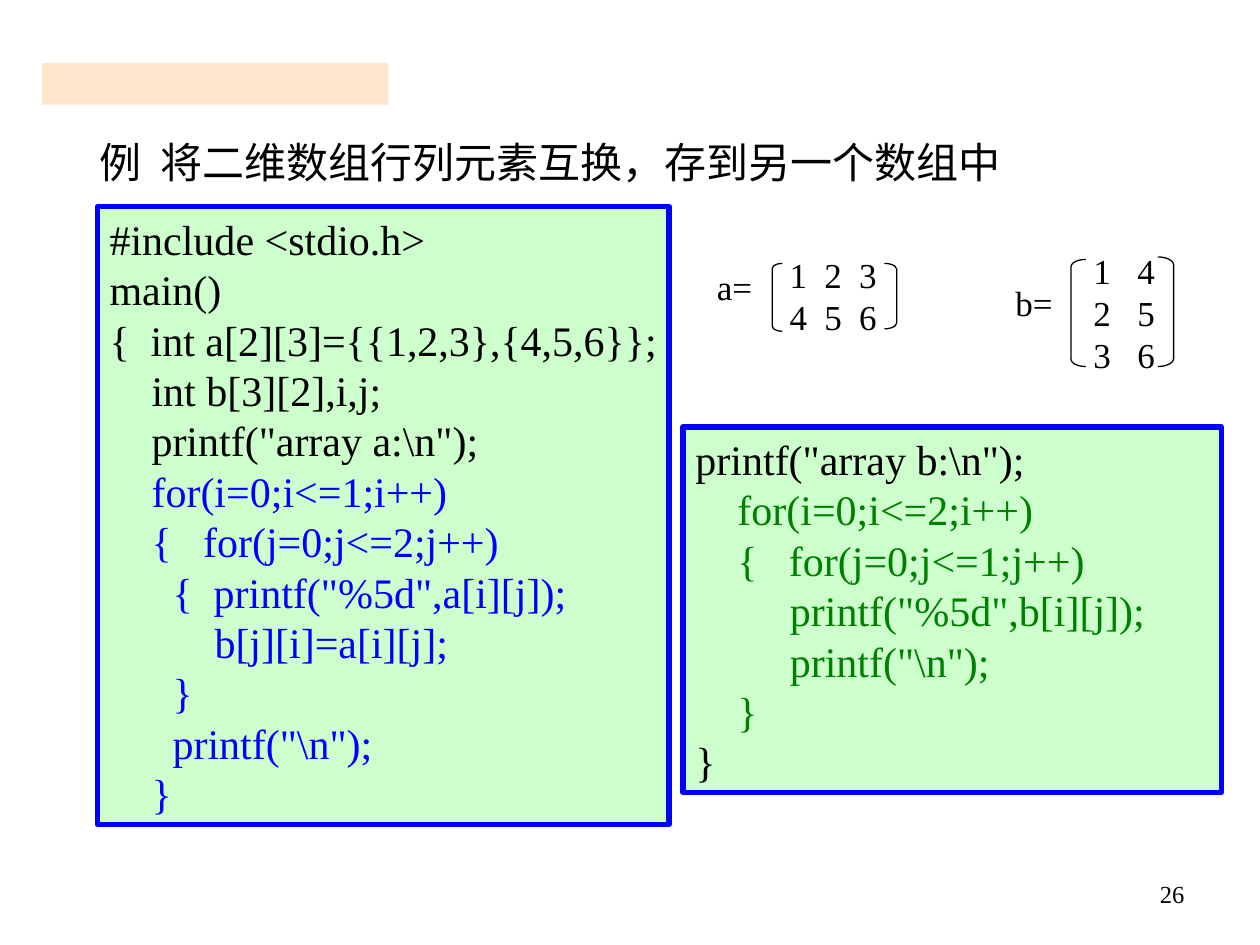
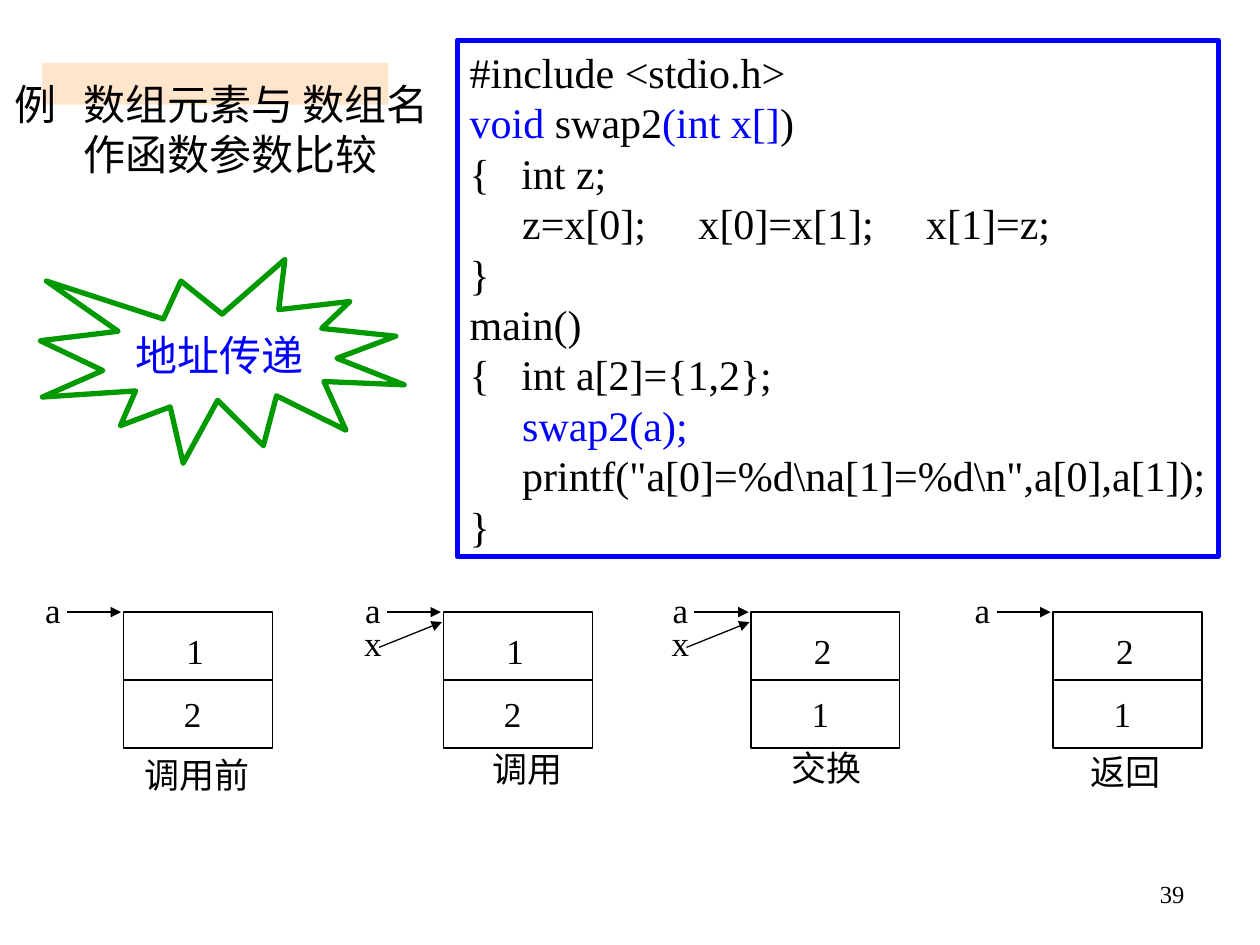
from lxml.etree import SubElement
from pptx import Presentation
from pptx.dml.color import RGBColor
from pptx.enum.shapes import MSO_CONNECTOR, MSO_SHAPE
from pptx.enum.text import MSO_ANCHOR, MSO_AUTO_SIZE, PP_ALIGN
from pptx.oxml.ns import qn
from pptx.util import Cm, Pt

# Shared style
FONT = "Times New Roman"
BLACK, WHITE, BLUE, GREEN = "000000", "FFFFFF", "0000FF", "008000"
MINT, PEACH, SEAL_GREEN = "CCFFCC", "FFCC99", "009900"
LARGE, MEDIUM, SMALL = 24, 20, 14
BAND = (0.84, 1.27, 6.99, 0.84)
PAGE_NUMBER = (18.21, 17.6, 5.92, 1.32)

# Content of the transpose slide; a line is a string or a list of (text, colour)
TRANSPOSE_TITLE = ["例\t将二维数组行列元素互换，存到另一个数组中"]
TRANSPOSE_CODE = [
    "#include <stdio.h>",
    "main()",
    "{  int a[2][3]={{1,2,3},{4,5,6}};",
    "    int b[3][2],i,j;",
    '    printf("array a:\\n");',
    [("    for(i=0;i<=1;i++)", BLUE)],
    [("    {   for(j=0;j<=2;j++)", BLUE)],
    [('\t{  printf("%5d",a[i][j]);', BLUE)],
    [("\t    b[j][i]=a[i][j];", BLUE)],
    [("\t}", BLUE)],
    [('\tprintf("\\n");', BLUE)],
    [("    }", BLUE)],
]
PRINT_CODE = [
    'printf("array b:\\n");',
    [("    for(i=0;i<=2;i++)", GREEN)],
    [("    {   for(j=0;j<=1;j++)", GREEN)],
    [('\t   printf("%5d",b[i][j]);', GREEN)],
    [('         printf("\\n");', GREEN)],
    [("    }", GREEN)],
    "}",
]
MATRICES = [
    {"label": "a=", "label_at": (14.2, 5.23), "rows": ["1\t2\t3", "4\t5\t6"],
     "rows_at": (15.67, 4.98, 2.4, 1.96), "pitch": 0.7,
     "left": (15.57, 5.31, 0.2, 1.37), "right": (17.83, 5.31, 0.25, 1.32)},
    {"label": "b=", "label_at": (20.22, 5.54), "rows": ["1\t4", "2\t5", "3\t6"],
     "rows_at": (21.79, 4.9, 1.9, 2.79), "pitch": 0.89,
     "left": (21.59, 5.23, 0.3, 2.16), "right": (23.34, 5.18, 0.32, 2.21)},
]

# Content of the swap slide
SWAP_TITLE = ["例\t数组元素与 数组名", "作函数参数比较"]
SWAP_CODE = [
    "#include <stdio.h>",
    [("void", BLUE), (" swap2", BLACK), ("(int x[]", BLUE), (")", BLACK)],
    "{   int z;",
    "     z=x[0];     x[0]=x[1];     x[1]=z;",
    "}",
    "main()",
    "{   int a[2]={1,2};",
    [("     swap2(a);", BLUE)],
    '     printf("a[0]=%d\\na[1]=%d\\n",a[0],a[1]);',
    "}",
]
# Left edge, upper value, lower value, whether x points here, caption and its place
MEMORY_STATES = [
    (2.49, "1", "2", False, "调用前", (2.67, 15.06)),
    (8.94, "1", "2", True, "调用", (9.68, 14.94)),
    (15.14, "2", "1", True, "交换", (15.7, 14.91)),
    (21.23, "2", "1", False, "返回", (21.74, 14.99)),
]
MEMORY_TOP, MEMORY_WIDTH, MEMORY_HEIGHT = 12.34, 3.0, 2.74
LABEL_WIDTH, LABEL_HEIGHT = 0.86, 1.12


def colour(value):
    return RGBColor.from_string(value)


def lengths(values):
    return [Cm(value) for value in values]


def write_text(shape, lines, size=LARGE, color=BLACK, align=PP_ALIGN.LEFT,
               anchor=MSO_ANCHOR.TOP, wrap=False, tabs=()):
    frame = shape.text_frame
    frame.auto_size = MSO_AUTO_SIZE.NONE
    frame.word_wrap = wrap
    frame.vertical_anchor = anchor
    frame.margin_left = frame.margin_right = Cm(0.25)
    frame.margin_top = frame.margin_bottom = Cm(0.13)
    for index, line in enumerate(lines):
        paragraph = frame.add_paragraph() if index else frame.paragraphs[0]
        if tabs:
            tab_list = SubElement(paragraph._p.get_or_add_pPr(), qn("a:tabLst"))
            for position in tabs:
                SubElement(tab_list, qn("a:tab"), pos=str(Cm(position)), algn="l")
        paragraph.alignment = align
        paragraph.line_spacing = Pt(size * 1.2)
        for text, run_color in [(line, color)] if isinstance(line, str) else line:
            run = paragraph.add_run()
            run.text = text
            run.font.name = FONT
            run.font.size = Pt(size)
            run.font.color.rgb = colour(run_color)


def add_text(slide, box, lines, **style):
    write_text(slide.shapes.add_textbox(*lengths(box)), lines, **style)


def add_label(slide, left, top, text, width=LABEL_WIDTH):
    add_text(slide, (left, top, width, LABEL_HEIGHT), [text], size=MEDIUM)


def add_shape(slide, kind, box, fill=None, line=None, weight=0.75):
    shape = slide.shapes.add_shape(kind, *lengths(box))
    shape.shadow.inherit = False
    if fill:
        shape.fill.solid()
        shape.fill.fore_color.rgb = colour(fill)
    else:
        shape.fill.background()
    if line:
        shape.line.color.rgb = colour(line)
        shape.line.width = Pt(weight)
    else:
        shape.line.fill.background()
    return shape


def add_code(slide, box, lines, fill, anchor=MSO_ANCHOR.MIDDLE):
    shape = add_shape(slide, MSO_SHAPE.RECTANGLE, box, fill, BLUE, 3)
    write_text(shape, lines, anchor=anchor)


def add_line(slide, start, end, arrow=False):
    connector = slide.shapes.add_connector(MSO_CONNECTOR.STRAIGHT, *lengths(start + end))
    connector.line.color.rgb = colour(BLACK)
    connector.line.width = Pt(0.75)
    if arrow:
        SubElement(connector.line._get_or_add_ln(), qn("a:tailEnd"), type="triangle")
    SubElement(connector._element.spPr, qn("a:effectLst"))
    return connector


def add_band(slide):
    """Draw the peach band and hand it to the layout, behind every slide."""
    band = add_shape(slide, MSO_SHAPE.RECTANGLE, BAND, PEACH)
    fill_color = band._element.spPr.find(".//" + qn("a:srgbClr"))
    SubElement(fill_color, qn("a:alpha"), val="50000")
    slide.slide_layout.shapes._spTree.append(band._element)


def add_slide(presentation, title_lines, title_box, title_tab, number):
    slide = presentation.slides.add_slide(presentation.slide_layouts[5])
    title = slide.shapes.title
    title.left, title.top, title.width, title.height = lengths(title_box)
    write_text(title, title_lines, wrap=True, tabs=[title_tab])
    for paragraph in title.text_frame.paragraphs[1:]:
        paragraph._p.get_or_add_pPr().set("marL", str(Cm(title_tab)))
    add_text(slide, PAGE_NUMBER, [number], size=SMALL, align=PP_ALIGN.RIGHT, wrap=True)
    return slide


def add_matrix(slide, matrix):
    add_label(slide, *matrix["label_at"], matrix["label"], width=1.23)
    pitch = matrix["pitch"]
    add_text(slide, matrix["rows_at"], matrix["rows"], size=MEDIUM, wrap=True,
             tabs=[pitch, 2 * pitch])
    for kind, side in ((MSO_SHAPE.LEFT_BRACKET, "left"), (MSO_SHAPE.RIGHT_BRACKET, "right")):
        bracket = add_shape(slide, kind, matrix[side], line=BLACK)
        bracket.adjustments[0] = 0.5


def add_memory(slide, left, upper, lower, has_x, caption, caption_at):
    top = MEMORY_TOP
    cells = add_shape(slide, MSO_SHAPE.RECTANGLE,
                      (left, top, MEMORY_WIDTH, MEMORY_HEIGHT), WHITE, BLACK)
    middle = top + MEMORY_HEIGHT / 2
    divider = add_line(slide, (left, middle), (left + MEMORY_WIDTH, middle))
    divider.begin_connect(cells, 1)
    divider.end_connect(cells, 3)
    add_label(slide, left + 1.02, top + 0.23, upper)
    add_label(slide, left + 0.97, top + 1.5, lower)
    # Pointers into the array
    add_label(slide, left - 1.83, top - 0.61, "a")
    add_line(slide, (left - 1.14, top), (left - 0.05, top), arrow=True)
    if has_x:
        add_label(slide, left - 1.85, top + 0.05, "x")
        add_line(slide, (left - 1.3, top + 0.71), (left - 0.03, top + 0.2), arrow=True)
    add_label(slide, *caption_at, caption, width=0.5 + 0.71 * len(caption))


def main():
    presentation = Presentation()
    presentation.slide_width, presentation.slide_height = Cm(25.4), Cm(19.05)

    # Transposing a two-dimensional array
    slide = add_slide(presentation, TRANSPOSE_TITLE, (1.75, 2.62, 20, 1.27), 1.23, "26")
    add_band(slide)
    for matrix in MATRICES:
        add_matrix(slide, matrix)
    add_code(slide, (1.96, 4.17, 11.53, 12.45), TRANSPOSE_CODE, MINT)
    add_code(slide, (13.77, 8.61, 10.85, 7.37), PRINT_CODE, MINT)

    # Passing an array name to a function
    slide = add_slide(presentation, SWAP_TITLE, (0.05, 1.45, 9.15, 2.29), 1.38, "39")
    for state in MEMORY_STATES:
        add_memory(slide, *state)
    add_code(slide, (9.22, 0.81, 15.34, 10.41), SWAP_CODE, WHITE, MSO_ANCHOR.TOP)
    seal = add_shape(slide, MSO_SHAPE.EXPLOSION1, (0.81, 5.23, 7.34, 4.11),
                     WHITE, SEAL_GREEN, 3)
    write_text(seal, ["地址传递"], color=BLUE, align=PP_ALIGN.CENTER,
               anchor=MSO_ANCHOR.MIDDLE)

    presentation.save("out.pptx")


if __name__ == "__main__":
    main()
